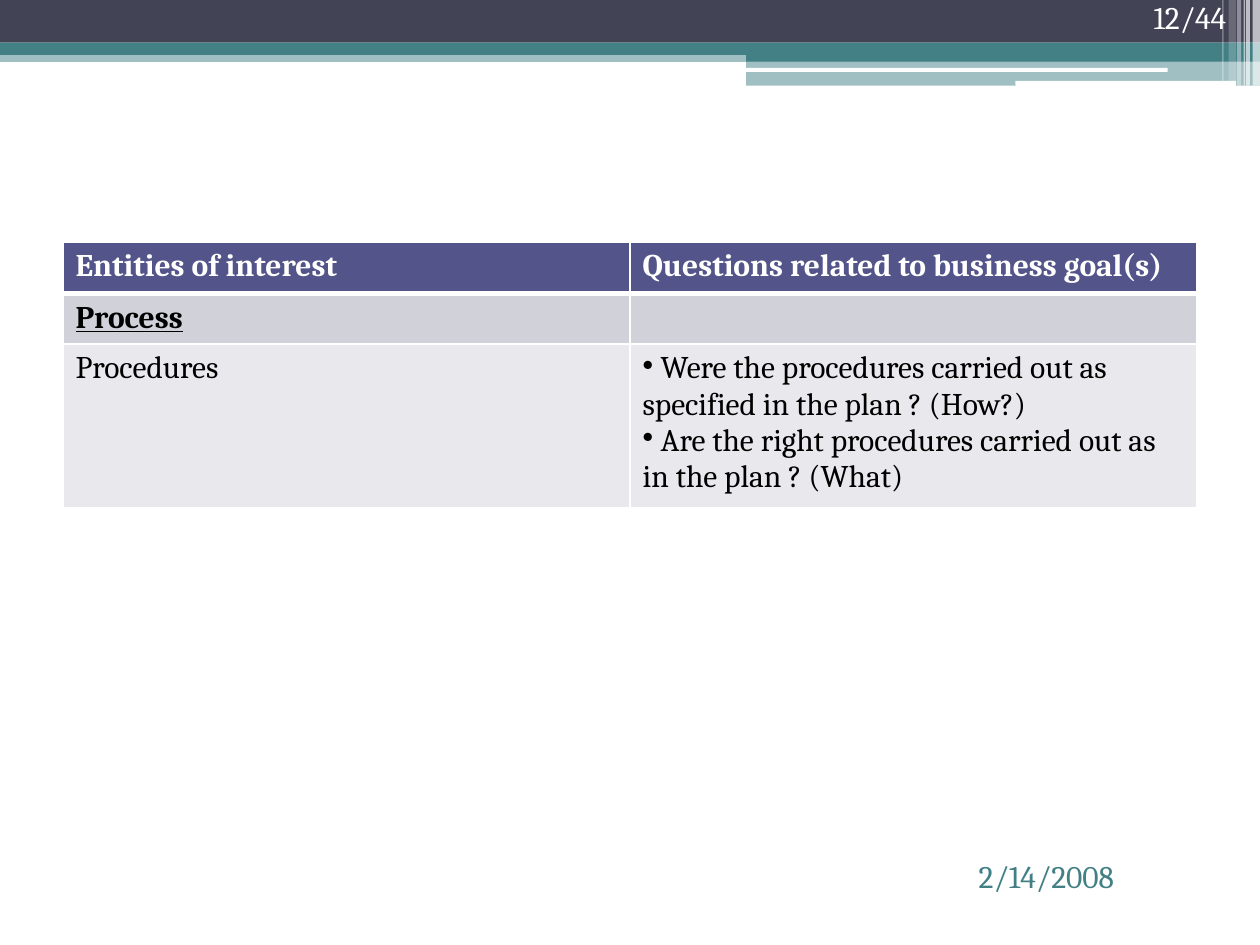
from lxml.etree import SubElement
from pptx import Presentation
from pptx.dml.color import RGBColor
from pptx.enum.shapes import MSO_SHAPE as Preset
from pptx.enum.text import MSO_ANCHOR as Anchor, PP_ALIGN as Align
from pptx.oxml import parse_xml
from pptx.oxml.ns import nsdecls, qn
from pptx.util import Cm, Pt

COLORS = {"navy": "424456", "teal": "438086", "white": "FFFFFF", "black": "000000",
          "header": "53548A", "band": "D1D1DA", "light": "E9E9ED"}
FONT = "Cambria"
SLIDE_WIDTH, SLIDE_HEIGHT = 25.4, 19.05


def add_bar(slide, box, color, opacity=100, preset=Preset.RECTANGLE):
    """Draw a borderless filled bar; box is left, top, width, height in cm."""
    shape = slide.shapes.add_shape(preset, *map(Cm, box))
    shape.shadow.inherit = False
    shape.line.fill.background()
    shape.fill.solid()
    shape.fill.fore_color.rgb = RGBColor.from_string(COLORS[color])
    if opacity < 100:
        color_element = shape.fill._xPr.find(qn("a:solidFill"))[0]
        SubElement(color_element, qn("a:alpha"), val=str(opacity * 1000))


def format_paragraph(paragraph, color, bold=False, underline=False):
    """Apply the slide's font to every run of a paragraph."""
    for run in paragraph.runs:
        font = run.font
        font.name, font.size = FONT, Pt(18)
        font.bold, font.underline = bold, underline
        font.color.rgb = RGBColor.from_string(COLORS[color])


def add_label(slide, box, text, color, align=Align.LEFT, anchor=Anchor.TOP):
    """Place a single line of text in a box."""
    text_frame = slide.shapes.add_textbox(*map(Cm, box)).text_frame
    text_frame.word_wrap = True
    text_frame.vertical_anchor = anchor
    text_frame.text = text
    text_frame.paragraphs[0].alignment = align
    format_paragraph(text_frame.paragraphs[0], color)


def add_header_band(slide, box):
    """Draw the layered bars and the light stripes at the right edge."""
    left, top, width, height = box
    right, panel_left, panel_width = left + width, left + 15.04, width - 15.04
    add_bar(slide, (left, top + 1.02, width, 0.23), "teal", 50)
    add_bar(slide, (left, top, width, 0.86), "navy")
    add_bar(slide, (left, top + 0.86, width, 0.25), "teal")
    add_bar(slide, (panel_left, top + 0.99, panel_width, 0.25), "teal")
    add_bar(slide, (panel_left, top + 1.22, panel_width, 0.51), "teal", 50)
    for line_box in ((panel_left, top + 1.37, 8.5, 0.08),
                     (left + 20.47, top + 1.63, 4.45, 0.1)):
        add_bar(slide, line_box, "white", preset=Preset.ROUNDED_RECTANGLE)
    stripes = ((0.15, 0.15, height, 65), (0.28, 0.08, height, 65),
               (0.33, 0.03, height, 60), (0.46, 0.08, height, 40),
               (0.63, 0.15, height - 0.1, 20), (0.76, 0.03, height - 0.1, 30))
    for offset, stripe_width, stripe_height, opacity in stripes:
        add_bar(slide, (right - offset, top, stripe_width, stripe_height), "white", opacity)


def set_borders(cell, top, bottom):
    """Give a cell white borders; top and bottom widths are in points."""
    properties = cell._tc.get_or_add_tcPr()
    sides = (("lnL", 1), ("lnR", 1), ("lnT", top), ("lnB", bottom))
    for index, (side, width) in enumerate(sides):
        properties.insert(index, parse_xml(
            f'<a:{side} {nsdecls("a")} w="{Pt(width)}"><a:solidFill>'
            f'<a:srgbClr val="{COLORS["white"]}"/></a:solidFill></a:{side}>'))


def add_bullet(paragraph):
    """Put an unindented bullet before a paragraph."""
    properties = paragraph._p.get_or_add_pPr()
    properties.set("marL", "0")
    properties.set("indent", "0")
    SubElement(properties, qn("a:buChar"), char="•")


def add_question_table(slide, box):
    """Build the table of entities and their questions."""
    rows = (
        ("header", "white", True, False, 1.04,
         (["Entities of interest"], ["Questions related to business goal(s)"])),
        ("band", "black", True, True, 0.99, (["Process"], [])),
        ("light", "black", False, False, 3.17,
         (["Procedures"],
          [" Were the procedures carried out as specified in the plan ? (How?)",
           " Are the right procedures carried out as in the plan ? (What)"])),
    )
    table = slide.shapes.add_table(len(rows), 2, *map(Cm, box)).table
    for index, (fill, color, bold, underline, height, texts) in enumerate(rows):
        table.rows[index].height = Cm(height)
        for cell, lines in zip(table.rows[index].cells, texts):
            cell.fill.solid()
            cell.fill.fore_color.rgb = RGBColor.from_string(COLORS[fill])
            set_borders(cell, 3 if index == 1 else 1, 3 if index == 0 else 1)
            cell.text_frame.text = "\n".join(lines)
            for paragraph in cell.text_frame.paragraphs:
                format_paragraph(paragraph, color, bold, underline)
                if len(lines) > 1:
                    add_bullet(paragraph)


def build_slide(presentation):
    """Add the slide with its band, labels and table."""
    slide = presentation.slides.add_slide(presentation.slide_layouts[6])
    add_header_band(slide, (0, 0, SLIDE_WIDTH, 1.73))
    add_label(slide, (21.95, -0.18, 3.02, 1.02), "12/44", "white", Align.RIGHT, Anchor.BOTTOM)
    add_label(slide, (19.48, 17.15, 3.81, 1.27), "2/14/2008", "teal")
    add_question_table(slide, (1.27, 4.88, 22.86, 5.2))


presentation = Presentation()
presentation.slide_width, presentation.slide_height = Cm(SLIDE_WIDTH), Cm(SLIDE_HEIGHT)
build_slide(presentation)
presentation.save("out.pptx")
